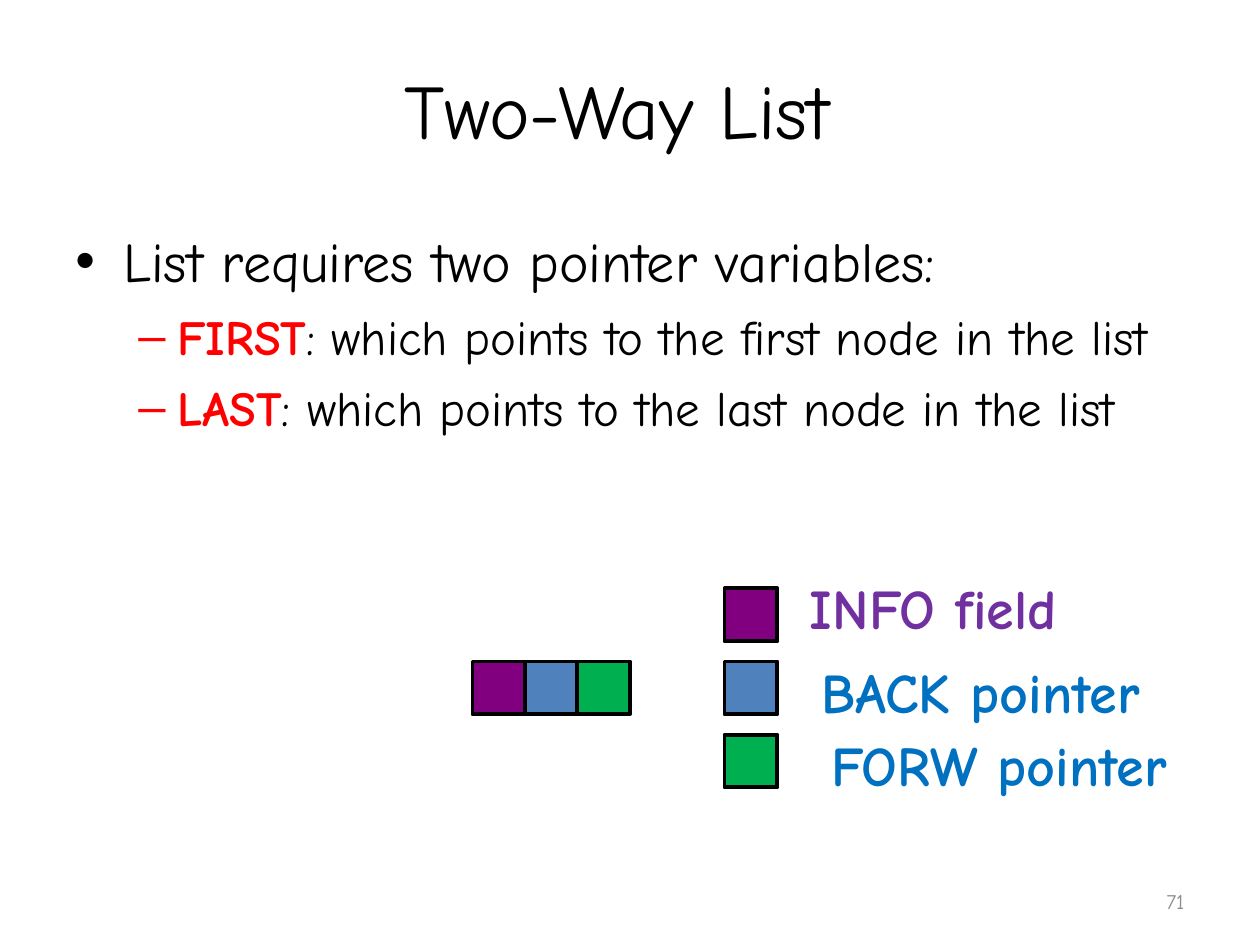
from dataclasses import dataclass

from lxml import etree
from pptx import Presentation
from pptx import util as u
from pptx.dml.color import RGBColor
from pptx.enum import shapes, text
from pptx.oxml.ns import qn


@dataclass(frozen=True)
class Theme:
    font: str = "Comic Neue"
    black: str = "000000"
    red: str = "FF0000"
    grey: str = "8C8C8C"
    info: str = "800080"
    back: str = "4F81BD"
    forw: str = "00B050"
    info_label: str = "7030A0"
    pointer_label: str = "0070C0"
    title: int = 44
    body: int = 32
    sub: int = 28
    number: int = 12


T = Theme()

TITLE = "Two-Way List "
LEAD = "List requires two pointer variables:"
POINTERS = [
    ("FIRST", ": which points to the first node in the list"),
    ("LAST", ": which points to the last node in the list"),
]
# field label, label colour, cell fill, label box (left, top, width)
FIELDS = [
    ("INFO field", T.info_label, T.info, (6.33, 4.5, 2.92)),
    ("BACK pointer", T.pointer_label, T.back, (6.42, 5.17, 3.33)),
    ("FORW pointer", T.pointer_label, T.forw, (6.5, 5.75, 3.33)),
]
PAGE = "71"

CELL = 0.42
NODE_LEFT, NODE_TOP, NODE_STEP = 3.75, 5.25, 0.415
KEY_LEFT, KEY_TOP, KEY_STEP = 5.75, 4.67, 0.58


def style(r, size, color, bold=False):
    f = r.font
    f.name, f.size, f.bold = T.font, u.Pt(size), bold
    f.color.rgb = RGBColor.from_string(color)


def add_box(s, x, y, w, h, anchor=text.MSO_ANCHOR.TOP):
    tf = s.shapes.add_textbox(*map(u.Inches, (x, y, w, h))).text_frame
    tf.word_wrap = True
    tf.vertical_anchor = anchor
    return tf


def add_line(s, box, words, size, color, align=text.PP_ALIGN.LEFT,
             anchor=text.MSO_ANCHOR.TOP, bold=False):
    tf = add_box(s, *box, anchor)
    tf.text = words
    p = tf.paragraphs[0]
    p.alignment = align
    style(p.runs[0], size, color, bold)
    return tf


def set_bullet(p, char, margin, hang, level=0):
    p.level = level
    pPr = p._p.get_or_add_pPr()
    pPr.set("marL", str(u.Inches(margin)))
    pPr.set("indent", str(-u.Inches(hang)))
    etree.SubElement(pPr, qn("a:buFont")).set("typeface", "Arial")
    etree.SubElement(pPr, qn("a:buChar")).set("char", char)


def add_cell(s, x, y, fill):
    sp = s.shapes.add_shape(shapes.MSO_SHAPE.RECTANGLE,
                            *map(u.Inches, (x, y, CELL, CELL)))
    sp.shadow.inherit = False
    sp.fill.solid()
    sp.fill.fore_color.rgb = RGBColor.from_string(fill)
    sp.line.color.rgb = RGBColor.from_string(T.black)
    sp.line.width = u.Pt(2.25)
    return sp


def add_body(s):
    tf = add_box(s, 0.5, 1.75, 9, 4.95)
    p = tf.paragraphs[0]
    p.text = LEAD
    set_bullet(p, "•", 0.38, 0.38)
    style(p.runs[0], T.body, T.black)
    for name, meaning in POINTERS:
        p = tf.add_paragraph()
        p.text = name
        p.space_before = u.Pt(7)
        set_bullet(p, "–", 0.81, 0.31, level=1)
        style(p.runs[0], T.sub, T.red, bold=True)
        r = p.add_run()
        r.text = meaning
        style(r, T.sub, T.black)


def main():
    prs = Presentation()
    prs.slide_width, prs.slide_height = u.Inches(10), u.Inches(7.5)
    s = prs.slides.add_slide(prs.slide_layouts[6])
    middle = text.MSO_ANCHOR.MIDDLE

    add_line(s, (0.5, 0.3, 9, 1.12), TITLE, T.title, T.black,
             text.PP_ALIGN.CENTER, middle)
    add_body(s)
    add_line(s, (7.17, 6.95, 2.33, 0.4), PAGE, T.number, T.grey,
             text.PP_ALIGN.RIGHT, middle)

    node = [add_cell(s, NODE_LEFT + i * NODE_STEP, NODE_TOP, fill)
            for i, (_, _, fill, _) in enumerate(FIELDS)]
    s.shapes.add_group_shape(node)

    for i, (label, color, fill, (x, y, w)) in enumerate(FIELDS):
        add_cell(s, KEY_LEFT, KEY_TOP + i * KEY_STEP, fill)
        tf = add_line(s, (x, y, w, 0.64), label, T.body, color, bold=True)
        tf.auto_size = text.MSO_AUTO_SIZE.SHAPE_TO_FIT_TEXT

    prs.save("out.pptx")


if __name__ == "__main__":
    main()
